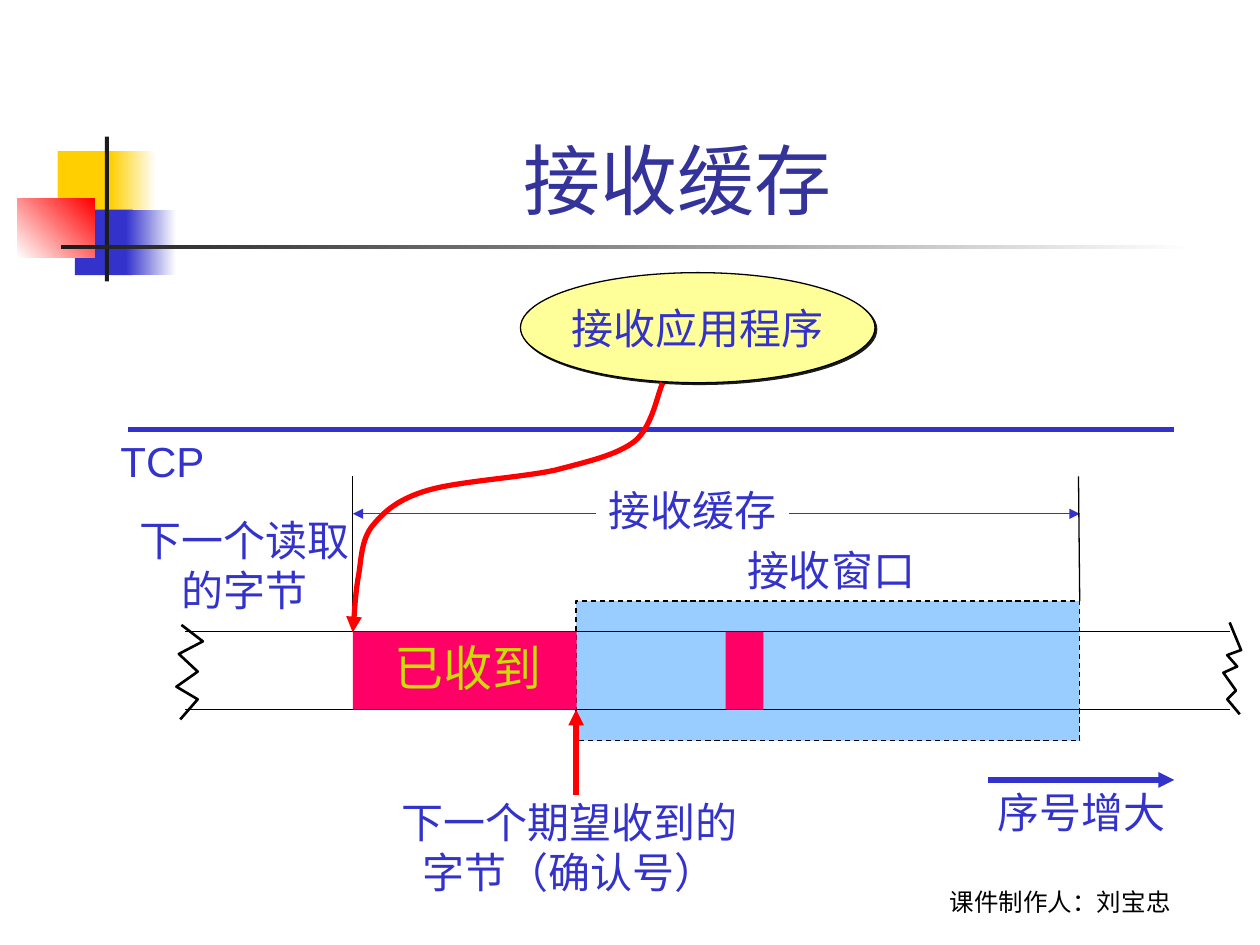
from lxml import etree
from pptx import Presentation
from pptx.dml.color import RGBColor
from pptx.enum.dml import MSO_LINE
from pptx.enum.shapes import MSO_CONNECTOR, MSO_SHAPE
from pptx.enum.text import MSO_ANCHOR, MSO_AUTO_SIZE, PP_ALIGN
from pptx.oxml import parse_xml
from pptx.oxml.ns import nsdecls, qn
from pptx.util import Pt

RECTANGLE, OVAL = MSO_SHAPE.RECTANGLE, MSO_SHAPE.OVAL
LEFT, CENTER = PP_ALIGN.LEFT, PP_ALIGN.CENTER
TOP, MIDDLE, BOTTOM = MSO_ANCHOR.TOP, MSO_ANCHOR.MIDDLE, MSO_ANCHOR.BOTTOM

BLACK, WHITE, DARK = "000000", "FFFFFF", "1C1C1C"
BLUE, YELLOW, RED, PINK = "3333CC", "FFCF01", "FF0000", "FF0066"

# Stream and buffer edges shared by several parts
STREAM_LEFT, STREAM_RIGHT = 105.8, 702.7
STREAM_TOP, STREAM_BOTTOM = 360.9, 405.5
BUFFER_LEFT, BUFFER_RIGHT = 201.6, 617
WINDOW_LEFT, WINDOW_TOP, WINDOW_HEIGHT = 329.2, 343.5, 79.7
MARK_TOP = 272.2

# left, top, width, height, colours (two make a gradient), gradient angle
DECORATION = [
    (33, 86.4, 34.7, 37.4, [YELLOW], 0),
    (63, 86.4, 26, 37.4, [YELLOW, WHITE], 0),
    (42.8, 119.8, 33.1, 37.4, [BLUE], 0),
    (72, 119.8, 28.6, 37.4, [BLUE, WHITE], 0),
    (9.8, 113.7, 44.2, 33.5, [WHITE, RED], 45),
    (59.9, 78, 2.3, 82.8, [DARK], 0),
    (34.8, 140, 648, 2.5, [DARK, WHITE], 0),
]

# left, top, width, height, lines, size, colour, alignment
LABELS = [
    (218.2, 360.7, 97.9, 41, ["已收到"], 28, "C9DE06", LEFT),
    (419.8, 307.4, 110.2, 36, ["接收窗口"], 24, BLUE, LEFT),
    (61.9, 245.5, 61.9, 36, ["TCP"], 24, BLUE, CENTER),
    (72.7, 290.2, 133.9, 64.8, ["下一个读取", "的字节"], 24, BLUE, CENTER),
    (563, 445.7, 110.2, 36, ["序号增大"], 24, BLUE, CENTER),
    (222.5, 451.4, 205.9, 64.8, ["下一个期望收到的", "字节（确认号）"], 24, BLUE, CENTER),
]

# x1, y1, x2, y2, colour, width, arrowhead ends
STREAM_LINES = [
    (73.4, 245.5, 671, 245.5, BLUE, 3, []),
    (STREAM_LEFT, STREAM_TOP, STREAM_RIGHT, STREAM_TOP, BLACK, 0.75, []),
    (STREAM_LEFT, STREAM_BOTTOM, STREAM_RIGHT, STREAM_BOTTOM, BLACK, 0.75, []),
]
MARK_LINES = [
    (BUFFER_LEFT, MARK_TOP, BUFFER_LEFT, STREAM_TOP, BLACK, 0.75, []),
    (BUFFER_LEFT, 293.6, BUFFER_RIGHT, 293.6, BLUE, 0.75, ["headEnd", "tailEnd"]),
    (616.3, MARK_TOP, BUFFER_RIGHT, WINDOW_TOP, BLACK, 0.75, []),
    (564.5, 445.7, 671, 445.7, BLUE, 3, ["tailEnd"]),
    (WINDOW_LEFT, 454.3, WINDOW_LEFT, STREAM_BOTTOM, RED, 3, ["tailEnd"]),
]

RECEIVED = [(BUFFER_LEFT, 127.9), (414.7, 21.6)]  # left, width

READ_CURVE = [
    (378.7, 218.9), (375.8, 224.6), (373, 243.4), (362.9, 252), (352.8, 259.9),
    (337, 263.5), (317.5, 268.6), (298.1, 272.9), (262.1, 275), (244.8, 280.1),
    (227.5, 285.1), (219.6, 292.3), (213.1, 300.2), (205.9, 308.9), (206.6, 321.1),
    (204.5, 331.2), (203, 341.3), (202.3, 355), (201.6, 361.4),
]
BREAKS = [
    [(702.7, 355.7), (709.2, 371.5), (701.3, 374.4), (707, 380.9),
     (699.1, 384.5), (706.3, 394.6), (701.3, 399.6), (708.5, 408.2)],
    [(103.7, 357.1), (115.9, 366.5), (102.2, 373.7), (113, 383.8),
     (100.8, 392.4), (113, 399.6), (103, 411.1)],
]


def rgb(value):
    return RGBColor.from_string(value)


def add_block(slide, kind, box, colours, angle=0):
    """Add a shape without outline, filled with one colour or a gradient."""
    shape = slide.shapes.add_shape(kind, *map(Pt, box))
    shape.shadow.inherit = False
    shape.line.fill.background()
    if len(colours) == 1:
        shape.fill.solid()
        shape.fill.fore_color.rgb = rgb(colours[0])
    else:
        shape.fill.gradient()
        shape.fill.gradient_angle = angle
        for stop, colour in zip(shape.fill.gradient_stops, colours):
            stop.color.rgb = rgb(colour)
    return shape


def set_line(line, colour, width):
    line.color.rgb = rgb(colour)
    line.width = Pt(width)


def add_arrowheads(shape, ends):
    outline = shape.line._get_or_add_ln()
    for end in ends:
        etree.SubElement(outline, qn(f"a:{end}"), type="triangle")


def add_lines(slide, lines):
    for x1, y1, x2, y2, colour, width, ends in lines:
        connector = slide.shapes.add_connector(
            MSO_CONNECTOR.STRAIGHT, Pt(x1), Pt(y1), Pt(x2), Pt(y2))
        set_line(connector.line, colour, width)
        add_arrowheads(connector, ends)
        etree.SubElement(connector._element.spPr, qn("a:effectLst"))


def write(shape, lines, size, colour, align, anchor=TOP, font="Arial", wrap=False):
    frame = shape.text_frame
    frame.word_wrap = wrap
    frame.auto_size = MSO_AUTO_SIZE.NONE
    frame.vertical_anchor = anchor
    frame.text = "\n".join(lines)
    for paragraph in frame.paragraphs:
        paragraph.alignment = align
        for run in paragraph.runs:
            run.font.size = Pt(size)
            run.font.name = font
            run.font.color.rgb = rgb(colour)


def add_text(slide, box, *args, **options):
    shape = slide.shapes.add_textbox(*map(Pt, box))
    write(shape, *args, **options)
    return shape


def add_outline(slide, points, colour, width):
    """Add an open, unfilled path through the points."""
    builder = slide.shapes.build_freeform(*map(Pt, points[0]), scale=1.0)
    builder.add_line_segments([(Pt(x), Pt(y)) for x, y in points[1:]], close=False)
    shape = builder.convert_to_shape()
    shape.shadow.inherit = False
    shape.fill.background()
    set_line(shape.line, colour, width)
    return shape


def bend(shape):
    """Turn each three line segments into one cubic curve."""
    for outline in shape._element.iter(qn("a:path")):
        segments = outline.findall(qn("a:lnTo"))
        for start in range(0, len(segments), 3):
            curve = etree.SubElement(outline, qn("a:cubicBezTo"))
            for segment in segments[start:start + 3]:
                curve.append(segment[0])
                outline.remove(segment)


def shadow(distance):
    return parse_xml(
        f'<a:effectLst {nsdecls("a")}><a:outerShdw dist="{int(Pt(distance))}" dir="2700000" '
        f'algn="ctr" rotWithShape="0"><a:srgbClr val="{DARK}"/></a:outerShdw></a:effectLst>')


def main():
    presentation = Presentation()
    presentation.slide_width, presentation.slide_height = Pt(720), Pt(540)
    slide = presentation.slides.add_slide(presentation.slide_layouts[6])

    for *box, colours, angle in DECORATION:
        add_block(slide, RECTANGLE, box, colours, angle)
    add_text(slide, (491.8, 491, 228.2, 36), ["课件制作人：刘宝忠"], 14, BLACK, CENTER,
             BOTTOM, font="Lato", wrap=True)
    add_text(slide, (90.7, 16.6, 592.6, 115.2), ["接收缓存"], 44, "333399", CENTER,
             BOTTOM, wrap=True)

    window = add_block(slide, RECTANGLE, (WINDOW_LEFT, WINDOW_TOP, BUFFER_RIGHT - WINDOW_LEFT,
                                          WINDOW_HEIGHT), ["99CCFF"])
    set_line(window.line, BLACK, 0.75)
    window.line.dash_style = MSO_LINE.DASH

    application = add_block(slide, OVAL, (297.4, 155.8, 202.6, 62.9), ["FFFF99"])
    set_line(application.line, BLACK, 0.75)
    properties = application._element.spPr
    properties.replace(properties.find(qn("a:effectLst")), shadow(1.4))
    write(application, ["接收应用程序"], 24, BLUE, CENTER, MIDDLE)

    add_lines(slide, STREAM_LINES)
    for left, width in RECEIVED:
        add_block(slide, RECTANGLE, (left, STREAM_TOP, width, STREAM_BOTTOM - STREAM_TOP), [PINK])
    add_lines(slide, MARK_LINES)
    buffer_label = add_block(slide, RECTANGLE, (340.6, 273.6, 110.2, 36), [WHITE])
    write(buffer_label, ["接收缓存"], 24, BLUE, LEFT)

    curve = add_outline(slide, READ_CURVE, RED, 3)
    bend(curve)
    add_arrowheads(curve, ["tailEnd"])

    labels = [add_text(slide, box, *text) for *box, lines, size, colour, align in LABELS
              for text in [(lines, size, colour, align)]]
    received_run = labels[0].text_frame.paragraphs[0].runs[0]
    received_run._r.rPr.find(qn("a:solidFill")).addnext(shadow(2))

    for points in BREAKS:
        add_outline(slide, points, BLACK, 1.5)
    presentation.save("out.pptx")


if __name__ == "__main__":
    main()
